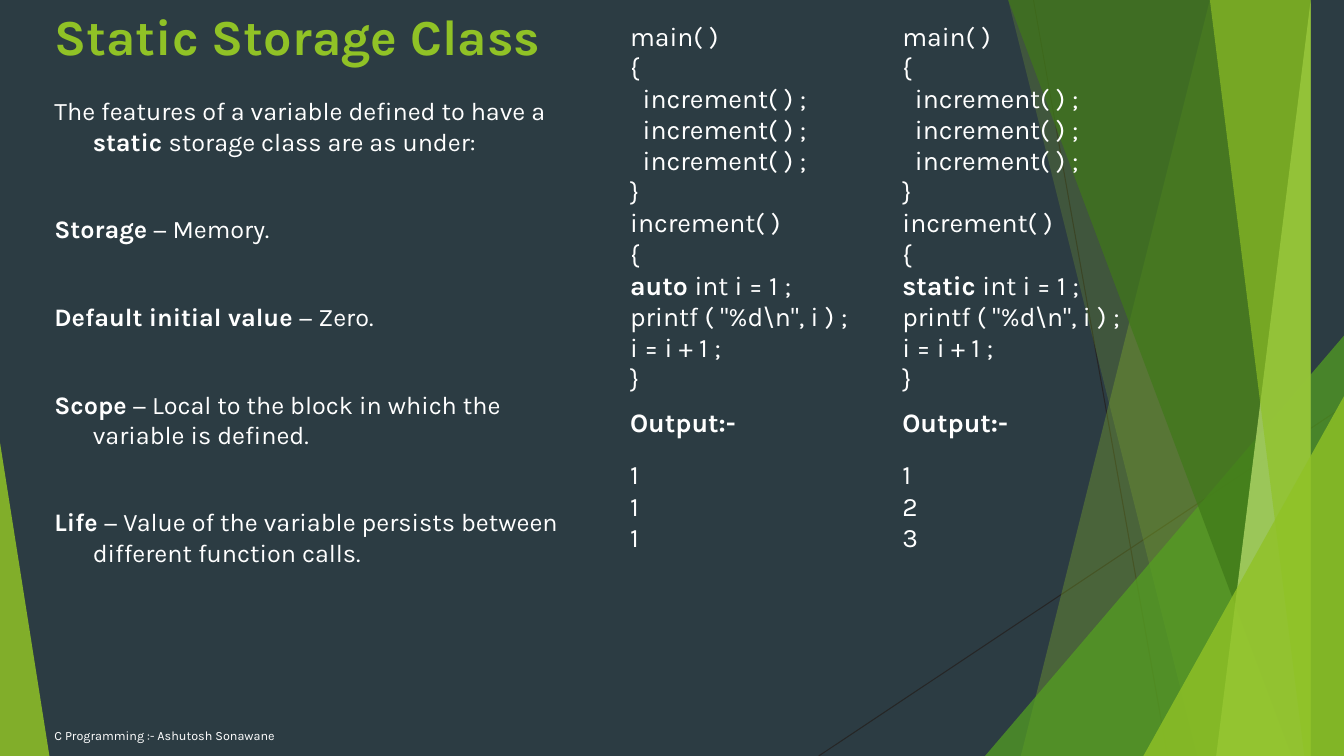
from dataclasses import dataclass

from lxml import etree
from pptx import Presentation
from pptx import util as u
from pptx.dml import color
from pptx.enum import shapes, text
from pptx.oxml import ns

FONT = "Karla"
WHITE, GREEN, DARK = "FFFFFF", "90C226", "2C3C43"
WIDTH, HEIGHT = 13.33, 7.5

Run = tuple[str, bool]  # words, bold


@dataclass
class Ray:
    """A straight decorative line."""
    start: tuple[float, float]
    end: tuple[float, float]


@dataclass
class Shard:
    """A band reaching the right edge; its left edge runs from top to bottom."""
    top_x: float
    bottom_x: float
    fill: str
    opacity: int


@dataclass
class Wedge:
    """A triangle standing on the bottom edge, with its apex at 0 or 1."""
    left: float
    top: float
    width: float
    apex: int
    fill: str
    opacity: int


@dataclass
class Example:
    """A code sample and what it prints."""
    left: float
    storage: str
    output: list[str]


RAYS = [Ray((10.25, 0), (11.58, HEIGHT)), Ray((WIDTH, 4.03), (8.12, HEIGHT))]
DECORATION = [
    Shard(12.28, 10.04, GREEN, 30),
    Shard(10.5, 11.83, GREEN, 20),
    Wedge(9.77, 3.33, 3.56, 1, "54A021", 72),
    Shard(10.21, 12.91, "3F7819", 70),
    Shard(13.03, 11.92, "C0E474", 70),
    Shard(11.96, 13.18, GREEN, 65),
    Wedge(11.34, 3.93, 1.99, 1, GREEN, 80),
    Wedge(0, 4.39, 0.49, 0, GREEN, 85),
]
FEATURES: list[list[Run]] = [
    [("The features of a variable defined to have a ", False), ("static ", True),
     ("storage class are as under:", False)],
    [("Storage", True), (" − Memory.", False)],
    [("Default initial value ", True), ("− Zero.", False)],
    [("Scope", True), (" − Local to the block in which the variable is defined.", False)],
    [("Life ", True),
     ("− Value of the variable persists between different function calls.", False)],
]
EXAMPLES = [Example(6.15, "auto", ["1", "1", "1"]), Example(8.85, "static", ["1", "2", "3"])]
ROW_HEIGHTS = [3.83, 0.52, 1.24]


def rgb(hex_code: str) -> color.RGBColor:
    return color.RGBColor.from_string(hex_code)


def paint(shape, fill: str, opacity: int) -> None:
    shape.shadow.inherit = False
    shape.line.fill.background()
    shape.fill.solid()
    shape.fill.fore_color.rgb = rgb(fill)
    tint = shape.fill._xPr.find(".//" + ns.qn("a:srgbClr"))
    etree.SubElement(tint, ns.qn("a:alpha"), val=str(opacity * 1000))


def draw_ray(slide, ray: Ray) -> None:
    points = [u.Inches(n) for n in ray.start + ray.end]
    line = slide.shapes.add_connector(shapes.MSO_CONNECTOR.STRAIGHT, *points)
    line.line.color.rgb = rgb("262626")
    line.line.width = u.Pt(0.75)
    etree.SubElement(line._element.spPr, ns.qn("a:effectLst"))


def draw_shard(slide, shard: Shard) -> None:
    outline = slide.shapes.build_freeform(shard.top_x, 0, scale=u.Inches(1))
    outline.add_line_segments([(WIDTH, 0), (WIDTH, HEIGHT), (shard.bottom_x, HEIGHT)])
    paint(outline.convert_to_shape(), shard.fill, shard.opacity)


def draw_wedge(slide, wedge: Wedge) -> None:
    triangle = slide.shapes.add_shape(
        shapes.MSO_SHAPE.ISOSCELES_TRIANGLE, u.Inches(wedge.left), u.Inches(wedge.top),
        u.Inches(wedge.width), u.Inches(HEIGHT - wedge.top))
    triangle.adjustments[0] = wedge.apex
    paint(triangle, wedge.fill, wedge.opacity)


def place(shape, left: float, top: float, width: float, height: float) -> None:
    shape.left, shape.top = u.Inches(left), u.Inches(top)
    shape.width, shape.height = u.Inches(width), u.Inches(height)


def add_runs(paragraph, runs: list[Run], size: float, ink: str = WHITE) -> None:
    paragraph.alignment = text.PP_ALIGN.LEFT
    for words, bold in runs:
        run = paragraph.add_run()
        run.text = words
        run.font.name, run.font.size, run.font.bold = FONT, u.Pt(size), bold
        run.font.color.rgb = rgb(ink)


def write(frame, lines: list[list[Run]], size: float, ink: str = WHITE) -> None:
    frame.word_wrap = True
    for index, runs in enumerate(lines):
        paragraph = frame.add_paragraph() if index else frame.paragraphs[0]
        add_runs(paragraph, runs, size, ink)


def write_features(body) -> None:
    frame = body.text_frame
    frame.auto_size = text.MSO_AUTO_SIZE.NONE
    frame.vertical_anchor = text.MSO_ANCHOR.TOP
    write(frame, FEATURES, 18)
    for index, paragraph in enumerate(frame.paragraphs):
        paragraph.space_before = u.Pt(41 if index else 0)
        properties = paragraph._p.get_or_add_pPr()
        properties.set("marL", str(u.Inches(0.38)))
        properties.set("indent", str(u.Inches(-0.38)))
        etree.SubElement(properties, ns.qn("a:buNone"))


def clear_cell(cell) -> None:
    cell.fill.background()
    properties = cell._tc.get_or_add_tcPr()
    for index, side in enumerate(("lnL", "lnR", "lnT", "lnB")):
        border = etree.Element(ns.qn("a:" + side), w="0")
        etree.SubElement(border, ns.qn("a:noFill"))
        properties.insert(index, border)


def draw_example(slide, example: Example) -> None:
    table = slide.shapes.add_table(
        len(ROW_HEIGHTS), 2, u.Inches(example.left), u.Inches(0.17),
        u.Inches(5), u.Inches(sum(ROW_HEIGHTS))).table
    table.first_row = table.horz_banding = False
    for row, height in zip(table.rows, ROW_HEIGHTS):
        row.height = u.Inches(height)
    for cell in table.iter_cells():
        clear_cell(cell)
    table.cell(1, 0).merge(table.cell(1, 1))

    calls = ["  increment( ) ;"] * 3
    opening = ["main( )", "{", *calls, "}", "increment( )", "{"]
    closing = ['printf ( "%d\\n", i ) ;', "i = i + 1 ;", "}"]
    code = [[(line, False)] for line in opening]
    code.append([(example.storage + " ", True), ("int i = 1 ;", False)])
    code += [[(line, False)] for line in closing]
    printed = [[(line, False)] for line in example.output]
    for row_index, lines in enumerate((code, [[("Output:-", True)]], printed)):
        write(table.cell(row_index, 0).text_frame, lines, 19)


def main() -> None:
    deck = Presentation()
    deck.slide_width, deck.slide_height = u.Inches(WIDTH), u.Inches(HEIGHT)
    slide = deck.slides.add_slide(deck.slide_layouts[1])
    slide.background.fill.solid()
    slide.background.fill.fore_color.rgb = rgb(DARK)

    # Decoration
    for ray in RAYS:
        draw_ray(slide, ray)
    for part in DECORATION:
        if isinstance(part, Shard):
            draw_shard(slide, part)
        else:
            draw_wedge(slide, part)

    # Title and features
    title, features = slide.placeholders
    place(title, 0.44, 0, 10.73, 0.88)
    title.text_frame.vertical_anchor = text.MSO_ANCHOR.TOP
    write(title.text_frame, [[("Static Storage Class", True)]], 36, GREEN)
    place(features, 0.44, 0.9, 5.31, 6.2)
    write_features(features)

    # Code examples
    for example in EXAMPLES:
        draw_example(slide, example)

    # Footer
    footer = slide.shapes.add_textbox(
        u.Inches(0.44), u.Inches(7.1), u.Inches(6.89), u.Inches(0.4))
    footer.text_frame.vertical_anchor = text.MSO_ANCHOR.MIDDLE
    write(footer.text_frame, [[("C Programming :- Ashutosh Sonawane", False)]], 9)

    deck.save("out.pptx")


if __name__ == "__main__":
    main()
